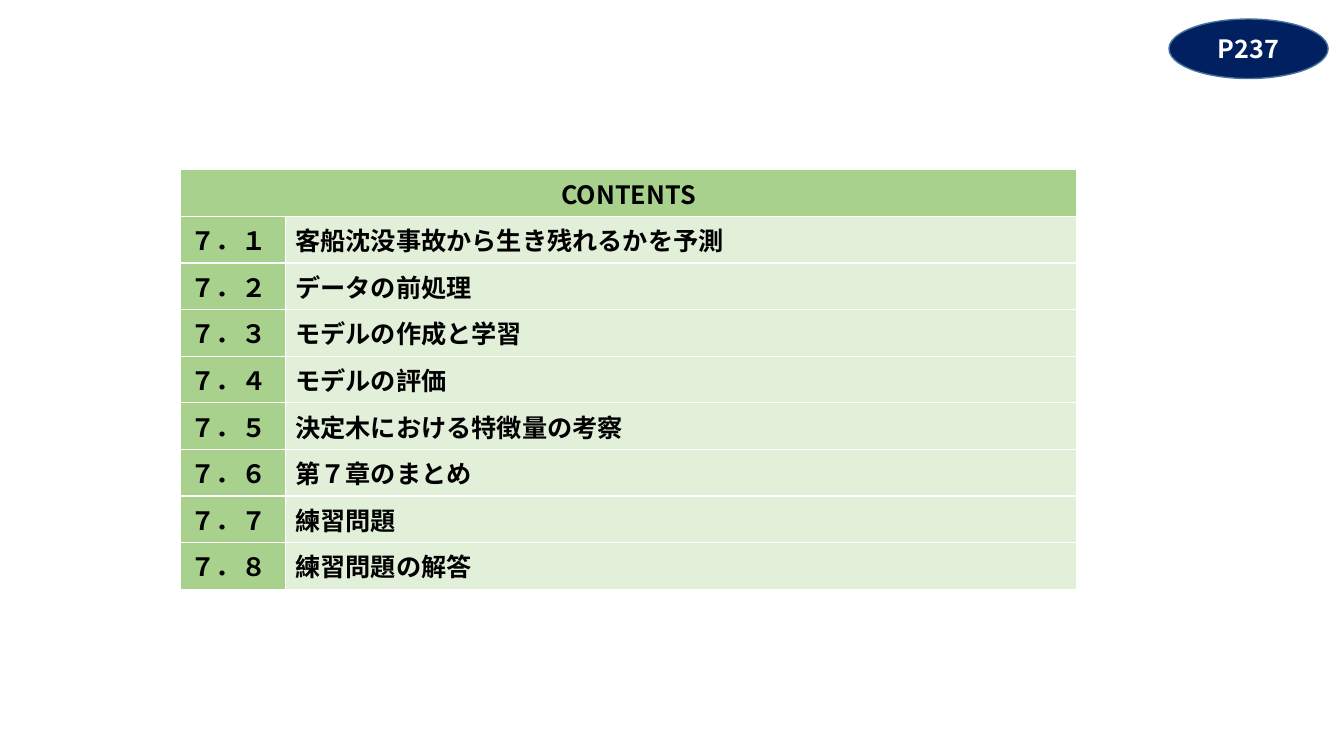
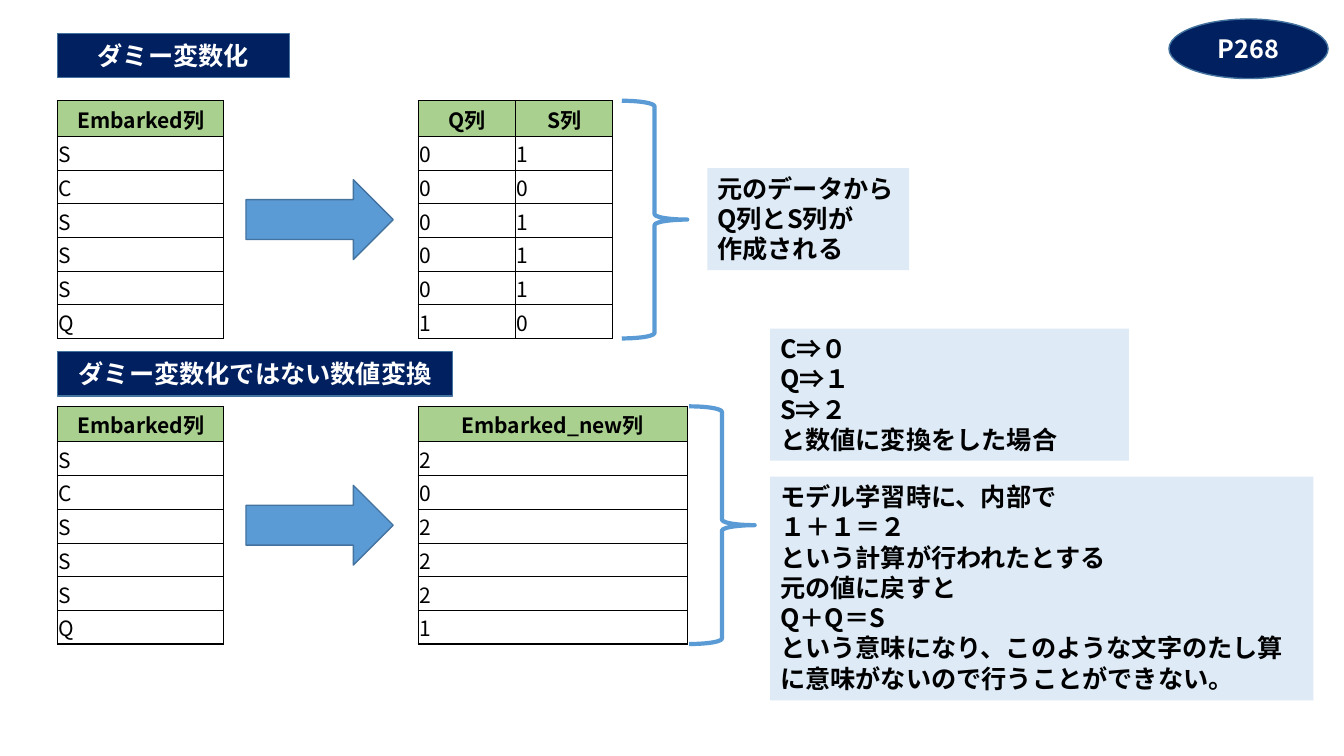
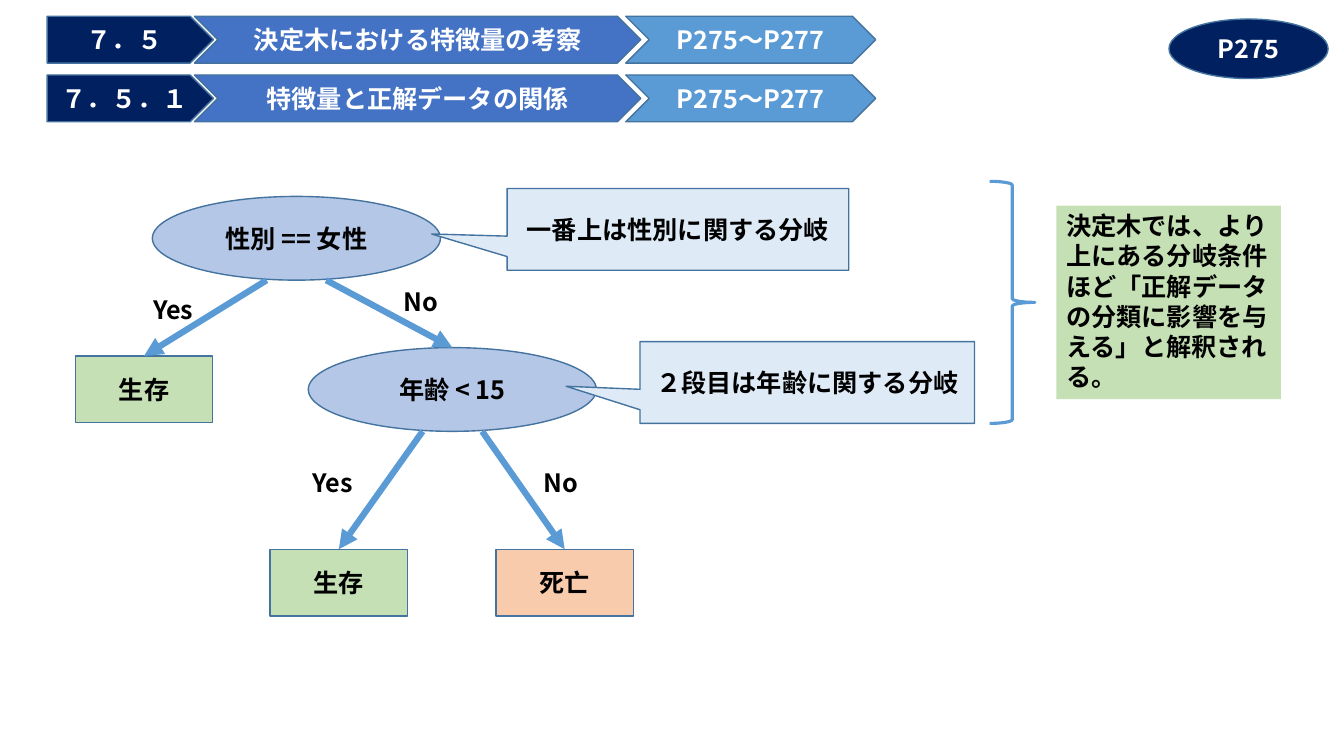
"""Build three slides on decision trees: contents, dummy variables and feature analysis."""
from lxml.etree import SubElement
from pptx import Presentation
from pptx.dml.color import RGBColor
from pptx.enum.shapes import MSO_CONNECTOR, MSO_SHAPE as SHAPE
from pptx.enum.text import MSO_ANCHOR as ANCHOR, MSO_AUTO_SIZE as FIT, PP_ALIGN as ALIGN
from pptx.oxml.ns import qn
from pptx.util import Cm, Pt

FONT = "Noto Sans CJK JP"
COLORS = dict(
    navy="002060", indigo="4472C4", blue="5B9BD5", outline="43739E",
    lavender="B4C7E7", pale_blue="DEEBF7", green="A9D18E", head_green="A9D08E",
    leaf_green="C5E0B4", pale_green="E2F0D9", peach="F8CBAD",
    black="000000", white="FFFFFF",
)

CONTENTS = [
    "客船沈没事故から生き残れるかを予測", "データの前処理", "モデルの作成と学習",
    "モデルの評価", "決定木における特徴量の考察", "第７章のまとめ",
    "練習問題", "練習問題の解答",
]
FULL_DIGITS = "０１２３４５６７８９"

EMBARKED = [["Embarked列"], *"SCSSSQ"]
CONVERSIONS = [
    dict(title="ダミー変数化", title_box=(1.45, 0.84, 5.84, 1.12), top=2.54,
         rows=[["Q列", "S列"], "01", "00", "01", "01", "01", "10"],
         col_width=2.45, brace_left=15.67),
    dict(title="ダミー変数化ではない数値変換", title_box=(1.45, 8.86, 9.96, 1.12), top=10.24,
         rows=[["Embarked_new列"], *"202221"],
         col_width=6.78, brace_left=17.37),
]
CONVERSION_NOTES = [
    ((17.83, 4.24, 5.08, 2.57), ["元のデータから", "Q列とS列が", "作成される"]),
    ((19.41, 8.28, 9.04, 3.33), ["C⇒０", "Q⇒１", "S⇒２", "と数値に変換をした場合"]),
    ((19.41, 12.01, 13.69, 5.64), [
        "モデル学習時に、内部で", "１＋１＝２", "という計算が行われたとする",
        "元の値に戻すと", "Q＋Q＝S",
        "という意味になり、このような文字のたし算に意味がないので行うことができない。",
    ]),
]
HEADER_H, ROW_H = 0.89, 0.85

SECTIONS = [
    ("７．５", "決定木における特徴量の考察", "P275～P277"),
    ("７．５．１", "特徴量と正解データの関係", "P275～P277"),
]
SECTION_PARTS = [
    (SHAPE.PENTAGON, 1.19, 4.19, "navy"),
    (SHAPE.CHEVRON, 4.9, 11.25, "indigo"),
    (SHAPE.CHEVRON, 15.77, 6.3, "blue"),
]
BRANCH, LEAF = (SHAPE.OVAL, 7.26, 2.11), (SHAPE.RECTANGLE, 3.46, 1.68)
NODES = {
    "sex": (BRANCH, 3.84, 4.95, "性別 == 女性", "lavender"),
    "age": (BRANCH, 7.77, 8.76, "年齢 < 15", "lavender"),
    "female": (LEAF, 1.9, 8.97, "生存", "leaf_green"),
    "child": (LEAF, 6.81, 13.84, "生存", "leaf_green"),
    "adult": (LEAF, 12.5, 13.84, "死亡", "peach"),
}
EDGES = [
    ("sex", "female", "Yes", 3.61, 7.29), ("sex", "age", "No", 9.93, 7.09),
    ("age", "child", "Yes", 7.62, 11.66), ("age", "adult", "No", 13.46, 11.66),
]
EDGE_SPREAD = 0.75
CALLOUTS = [
    ((12.78, 4.75, 8.61, 2.06), "一番上は性別に関する分岐", (-0.721, 0.057)),
    ((16.13, 8.61, 8.43, 2.06), "２段目は年齢に関する分岐", (-0.721, 0.046)),
]
TREE_NOTE = "決定木では、より上にある分岐条件ほど「正解データの分類に影響を与える」と解釈される。"


def rgb(name):
    return RGBColor.from_string(COLORS[name])


def cms(*lengths):
    return [Cm(round(n, 2)) for n in lengths]


def assign(obj, **values):
    for name, value in values.items():
        setattr(obj, name, value)


def write(tf, lines, color="black", size=18, bold=True, align=ALIGN.LEFT):
    for i, line in enumerate(lines):
        p = tf.add_paragraph() if i else tf.paragraphs[0]
        p.alignment = align
        r = p.add_run()
        r.text = line
        assign(r.font, name=FONT, size=Pt(size), bold=bold)
        r.font.color.rgb = rgb(color)
        SubElement(r.font._element, qn("a:ea"), typeface=FONT)


def add_shape(s, kind, box, fill=None, line="outline", width=1):
    sp = s.shapes.add_shape(kind, *cms(*box))
    sp.shadow.inherit = False
    for part, color in ((sp.fill, fill), (sp.line.fill, line)):
        if color:
            part.solid()
            part.fore_color.rgb = rgb(color)
        else:
            part.background()
    if line:
        sp.line.width = Pt(width)
    return sp


def add_label(s, kind, box, text, fill, color="black"):
    sp = add_shape(s, kind, box, fill)
    assign(sp.text_frame, word_wrap=True, vertical_anchor=ANCHOR.MIDDLE)
    write(sp.text_frame, [text], color, align=ALIGN.CENTER)
    return sp


def add_note(s, box, lines, fill):
    tf = add_shape(s, SHAPE.RECTANGLE, box, fill, None).text_frame
    assign(tf, word_wrap=True, vertical_anchor=ANCHOR.TOP, auto_size=FIT.SHAPE_TO_FIT_TEXT)
    write(tf, lines)


def add_brace(s, box, width):
    add_shape(s, SHAPE.RIGHT_BRACE, box, line="blue", width=width)


def add_arrow(s, start, end):
    c = s.shapes.add_connector(MSO_CONNECTOR.STRAIGHT, *cms(*start, *end))
    c.line.color.rgb = rgb("blue")
    c.line.width = Pt(4.5)
    SubElement(c.line._get_or_add_ln(), qn("a:tailEnd"), type="triangle")
    SubElement(c._element.spPr, qn("a:effectLst"))


def set_borders(cell, color, **widths):
    tc_pr = cell._tc.get_or_add_tcPr()
    for side in "LRTB":
        ln = SubElement(tc_pr, qn("a:ln" + side), w=str(Pt(widths[side])))
        SubElement(SubElement(ln, qn("a:solidFill")), qn("a:srgbClr"), val=COLORS[color])


def add_grid(s, left, top, col_widths, row_heights):
    tb = s.shapes.add_table(len(row_heights), len(col_widths),
                            *cms(left, top, sum(col_widths), sum(row_heights))).table
    assign(tb, first_row=False, horz_banding=False)
    for group, lengths in ((tb.columns, col_widths), (tb.rows, row_heights)):
        attr = "width" if group is tb.columns else "height"
        for item, length in zip(group, lengths):
            setattr(item, attr, Cm(length))
    return tb


def add_data_table(s, left, top, rows, col_width):
    cols = len(rows[0])
    heights = [HEADER_H] + [ROW_H] * (len(rows) - 1)
    tb = add_grid(s, left, top, [col_width] * cols, heights)
    for i, row in enumerate(rows):
        for j, text in enumerate(row):
            cell = tb.cell(i, j)
            edges = dict(L=j == 0, R=j == cols - 1, T=i == 0, B=i == len(rows) - 1)
            set_borders(cell, "black", **{k: 1 if outer else 0.5 for k, outer in edges.items()})
            assign(cell, vertical_anchor=ANCHOR.MIDDLE, margin_left=Cm(0.02),
                   margin_right=Cm(0.02), margin_top=Cm(0.02), margin_bottom=0)
            if i == 0:
                cell.fill.solid()
                cell.fill.fore_color.rgb = rgb("head_green")
            else:
                cell.fill.background()
            write(cell.text_frame, [text], size=15, bold=i == 0,
                  align=ALIGN.LEFT if i else ALIGN.CENTER)
    return sum(heights)


def add_slide(prs):
    return prs.slides.add_slide(prs.slide_layouts[6])


def add_page_badge(s, page):
    add_label(s, SHAPE.OVAL, (29.46, 0.48, 4.01, 1.5), page, "navy", "white")


def contents_slide(prs):
    s = add_slide(prs)
    rows = [("CONTENTS", "")]
    rows += [("７．" + FULL_DIGITS[n], title) for n, title in enumerate(CONTENTS, 1)]
    tb = add_grid(s, 4.55, 4.28, [2.64, 19.94], [1.03] * len(rows))
    tb.cell(0, 0).merge(tb.cell(0, 1))
    for i, row in enumerate(rows):
        for j, text in enumerate(row):
            cell = tb.cell(i, j)
            set_borders(cell, "white", L=1, R=1, T=1, B=1)
            cell.fill.solid()
            cell.fill.fore_color.rgb = rgb("pale_green" if i and j else "green")
            if text:
                write(cell.text_frame, [text], align=ALIGN.LEFT if i else ALIGN.CENTER)
    add_page_badge(s, "P237")


def conversion_slide(prs):
    s = add_slide(prs)
    arrow_h = 2.01
    for conv in CONVERSIONS:
        top = conv["top"]
        height = add_data_table(s, 1.45, top, EMBARKED, 4.19)
        add_data_table(s, 10.54, top, conv["rows"], conv["col_width"])
        add_shape(s, SHAPE.RIGHT_ARROW, (6.2, top + (height - arrow_h) / 2, 3.71, arrow_h), "blue")
        add_brace(s, (conv["brace_left"], top, 1.65, height), 3)
        add_label(s, SHAPE.RECTANGLE, conv["title_box"], conv["title"], "navy", "white")
    for box, lines in CONVERSION_NOTES:
        add_note(s, box, lines, "pale_blue")
    add_page_badge(s, "P268")


def tree_slide(prs):
    s = add_slide(prs)
    for i, texts in enumerate(SECTIONS):
        for (kind, left, width, fill), text in zip(SECTION_PARTS, texts):
            add_label(s, kind, (left, 0.41 + 1.48 * i, width, 1.18), text, fill, "white")
    for (kind, w, h), left, top, text, fill in NODES.values():
        add_label(s, kind, (left, top, w, h), text, fill)
    for parent, child, answer, left, top in EDGES:
        (_, pw, ph), px, py, *_ = NODES[parent]
        (_, cw, _), cx, cy, *_ = NODES[child]
        shift = -EDGE_SPREAD if answer == "Yes" else EDGE_SPREAD
        add_arrow(s, (px + pw / 2 + shift, py + ph), (cx + cw / 2, cy))
        tf = s.shapes.add_textbox(*cms(left, top, 1.96, 1.02)).text_frame
        assign(tf, word_wrap=True, auto_size=FIT.SHAPE_TO_FIT_TEXT)
        write(tf, [answer])
    for box, text, tip in CALLOUTS:
        sp = add_label(s, SHAPE.RECTANGULAR_CALLOUT, box, text, "pale_blue")
        for i, value in enumerate(tip):
            sp.adjustments[i] = value
    add_brace(s, (24.94, 4.57, 1.14, 6.1), 2.25)
    add_note(s, (26.62, 5.18, 5.66, 4.88), [TREE_NOTE], "leaf_green")
    add_page_badge(s, "P275")


def main():
    prs = Presentation()
    assign(prs, slide_width=Cm(33.87), slide_height=Cm(19.05))
    for build in (contents_slide, conversion_slide, tree_slide):
        build(prs)
    prs.save("out.pptx")


if __name__ == "__main__":
    main()
